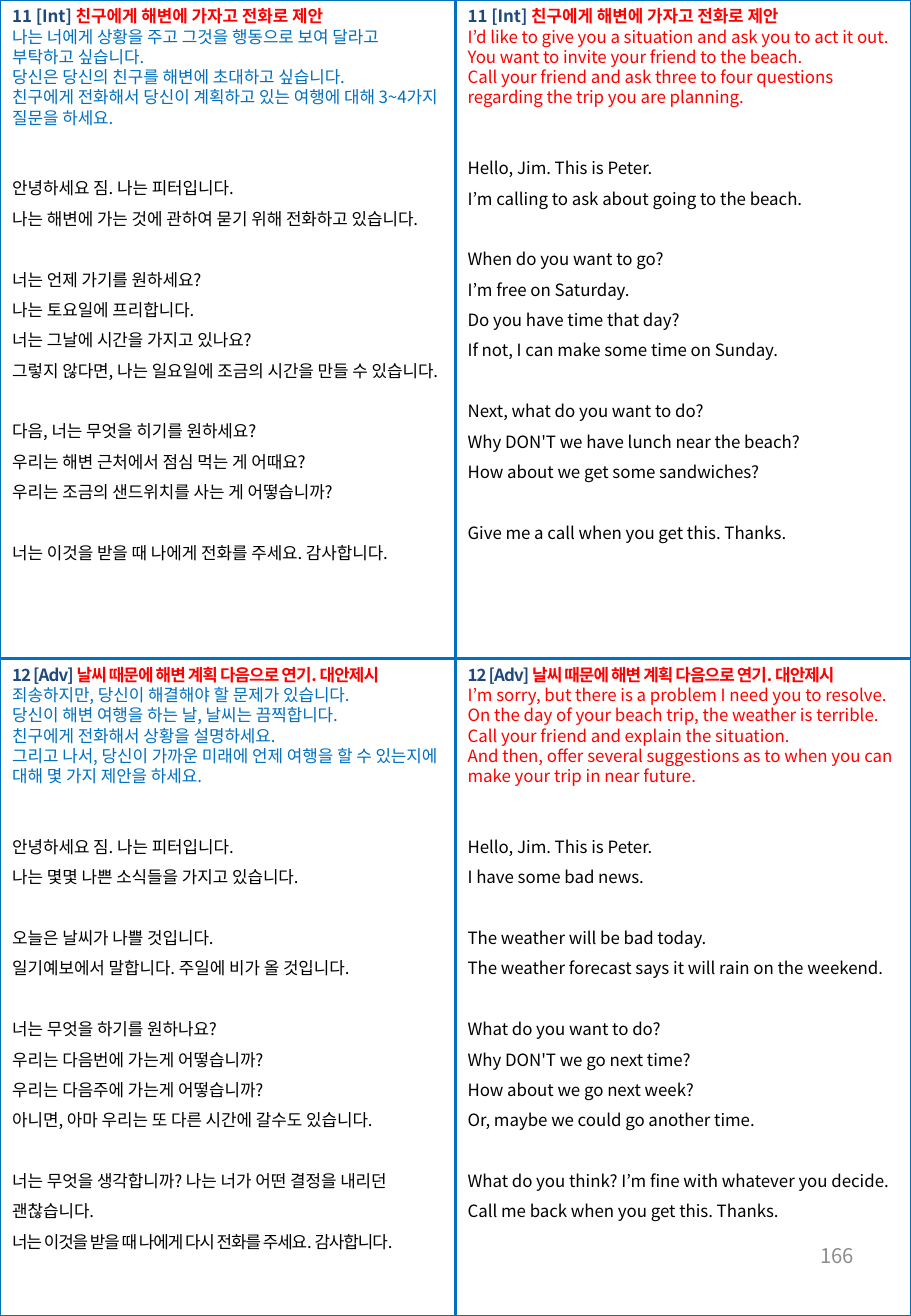
from lxml.etree import SubElement
from pptx import Presentation
from pptx.dml.color import RGBColor
from pptx.enum.shapes import MSO_CONNECTOR, MSO_SHAPE
from pptx.enum.text import MSO_ANCHOR, MSO_AUTO_SIZE, PP_ALIGN
from pptx.oxml.ns import qn
from pptx.util import Pt

FONT = "Noto Sans CJK KR"
COLORS = {"border": "0070C0", "label": "1F497D", "topic": "FF0000", "korean": "0070C0",
          "english": "FF0000", "script": "000000", "page": "8C8C8C"}
PAGE_NUMBER = "166"

BEACH_CALL = {
    "label": "11 [Int] ", "topic": "친구에게 해변에 가자고 전화로 제안",
    "heading_spacing": 0, "closing_spacing": 0,
    "korean": (
        ["나는 너에게 상황을 주고 그것을 행동으로 보여 달라고 부탁하고 싶습니다.",
         "당신은 당신의 친구를 해변에 초대하고 싶습니다.",
         "친구에게 전화해서 당신이 계획하고 있는 여행에 대해 3~4가지 질문을 하세요."],
        [["안녕하세요 짐. 나는 피터입니다.",
          "나는 해변에 가는 것에 관하여 묻기 위해 전화하고 있습니다."],
         ["너는 언제 가기를 원하세요?",
          "나는 토요일에 프리합니다.",
          "너는 그날에 시간을 가지고 있나요?",
          "그렇지 않다면, 나는 일요일에 조금의 시간을 만들 수 있습니다."],
         ["다음, 너는 무엇을 히기를 원하세요?",
          "우리는 해변 근처에서 점심 먹는 게 어때요?",
          "우리는 조금의 샌드위치를 사는 게 어떻습니까?"],
         ["너는 이것을 받을 때 나에게 전화를 주세요. 감사합니다."]]),
    "english": (
        ["I’d like to give you a situation and ask you to act it out.",
         "You want to invite your friend to the beach.",
         "Call your friend and ask three to four questions regarding the trip you are planning."],
        [["Hello, Jim. This is Peter.",
          "I’m calling to ask about going to the beach."],
         ["When do you want to go?",
          "I’m free on Saturday.",
          "Do you have time that day?",
          "If not, I can make some time on Sunday."],
         ["Next, what do you want to do?",
          "Why DON'T we have lunch near the beach?",
          "How about we get some sandwiches?"],
         ["Give me a call when you get this. Thanks."]]),
}
BAD_WEATHER = {
    "label": "12 [Adv] ", "topic": "날씨 때문에 해변 계획 다음으로 연기. 대안제시",
    "heading_spacing": -0.5, "closing_spacing": -0.6,
    "korean": (
        ["죄송하지만, 당신이 해결해야 할 문제가 있습니다.",
         "당신이 해변 여행을 하는 날, 날씨는 끔찍합니다.",
         "친구에게 전화해서 상황을 설명하세요.",
         "그리고 나서, 당신이 가까운 미래에 언제 여행을 할 수 있는지에 대해 몇 가지 제안을 하세요."],
        [["안녕하세요 짐. 나는 피터입니다.",
          "나는 몇몇 나쁜 소식들을 가지고 있습니다."],
         ["오늘은 날씨가 나쁠 것입니다.",
          "일기예보에서 말합니다. 주일에 비가 올 것입니다."],
         ["너는 무엇을 하기를 원하나요?",
          "우리는 다음번에 가는게 어떻습니까?",
          "우리는 다음주에 가는게 어떻습니까?",
          "아니면, 아마 우리는 또 다른 시간에 갈수도 있습니다."],
         ["너는 무엇을 생각합니까? 나는 너가 어떤 결정을 내리던 괜찮습니다.",
          "너는 이것을 받을 때 나에게 다시 전화를 주세요. 감사합니다."]]),
    "english": (
        ["I’m sorry, but there is a problem I need you to resolve.",
         "On the day of your beach trip, the weather is terrible.",
         "Call your friend and explain the situation.",
         "And then, offer several suggestions as to when you can make your trip in near future."],
        [["Hello, Jim. This is Peter.",
          "I have some bad news."],
         ["The weather will be bad today.",
          "The weather forecast says it will rain on the weekend."],
         ["What do you want to do?",
          "Why DON'T we go next time?",
          "How about we go next week?",
          "Or, maybe we could go another time."],
         ["What do you think? I’m fine with whatever you decide.",
          "Call me back when you get this. Thanks."]]),
}
SITUATIONS = [BEACH_CALL, BAD_WEATHER]
LANGUAGES = ["korean", "english"]

WIDTH, HEIGHT, COLUMN, ROW = 912, 1317, 456, 659
PANEL_HEIGHT = 630
LINE, SCRIPT_LINE, SCRIPT_GAP = 12, 18, 24


def px(length):
    return length * 7520


def place(shape, left, top, width, height):
    shape.left, shape.top, shape.width, shape.height = map(px, (left, top, width, height))


def write(paragraph, text, color, size=10, bold=False, spacing=0):
    run = paragraph.add_run()
    run.text = text
    run.font.size, run.font.bold, run.font.name = Pt(size), bold, FONT
    run.font.color.rgb = RGBColor.from_string(COLORS[color])
    properties = run._r.get_or_add_rPr()
    properties.set("spc", str(round(spacing * 100)))
    SubElement(properties, qn("a:ea"), typeface=FONT)


def next_line(frame, height=LINE, before=0):
    paragraph = frame.paragraphs[0] if not frame.paragraphs[0].runs else frame.add_paragraph()
    properties = paragraph._p.get_or_add_pPr()
    properties.set("marL", "0")
    properties.set("indent", "0")
    SubElement(properties, qn("a:buNone"))
    paragraph.alignment = PP_ALIGN.LEFT
    paragraph.line_spacing, paragraph.space_before = Pt(height), Pt(before)
    return paragraph


def fill_panel(panel, situation, language):
    frame = panel.text_frame
    frame.word_wrap, frame.auto_size = True, MSO_AUTO_SIZE.NONE
    frame.vertical_anchor = MSO_ANCHOR.TOP
    heading = next_line(frame)
    for part in ("label", "topic"):
        write(heading, situation[part], part, bold=True, spacing=situation["heading_spacing"])
    task, stanzas = situation[language]
    for sentence in task:
        write(next_line(frame), sentence, language)
    for stanza_index, stanza in enumerate(stanzas):
        gap = SCRIPT_LINE if stanza_index else SCRIPT_GAP
        for line_index, sentence in enumerate(stanza):
            closing = language == "korean" and sentence == stanzas[-1][-1]
            write(next_line(frame, SCRIPT_LINE, 0 if line_index else gap), sentence, "script",
                  spacing=situation["closing_spacing"] if closing else 0)


def outline(shape):
    shape.line.color.rgb = RGBColor.from_string(COLORS["border"])
    shape.line.width = Pt(1.5)


def main():
    deck = Presentation()
    deck.slide_width, deck.slide_height = px(WIDTH), px(HEIGHT)
    slide = deck.slides.add_slide(deck.slide_layouts[4])
    title, *panels = slide.placeholders
    title._element.getparent().remove(title._element)

    for index, panel in enumerate(panels):
        row, column = divmod(index, len(LANGUAGES))
        place(panel, column * COLUMN, row * ROW, COLUMN, PANEL_HEIGHT)
        fill_panel(panel, SITUATIONS[row], LANGUAGES[column])

    for ends in ((0, ROW, WIDTH, ROW), (COLUMN, 0, COLUMN, HEIGHT)):
        divider = slide.shapes.add_connector(MSO_CONNECTOR.STRAIGHT, *map(px, ends))
        outline(divider)
        SubElement(divider._element.spPr, qn("a:effectLst"))

    border = slide.shapes.add_shape(MSO_SHAPE.RECTANGLE, 0, 0, px(WIDTH), px(HEIGHT))
    border.shadow.inherit = False
    border.fill.background()
    outline(border)

    page = slide.shapes.add_textbox(*map(px, (654, 1221, 213, 71)))
    page.text_frame.word_wrap = True
    page.text_frame.vertical_anchor = MSO_ANCHOR.MIDDLE
    page_line = page.text_frame.paragraphs[0]
    page_line.alignment = PP_ALIGN.RIGHT
    write(page_line, PAGE_NUMBER, "page", size=12)

    deck.save("out.pptx")


if __name__ == "__main__":
    main()
